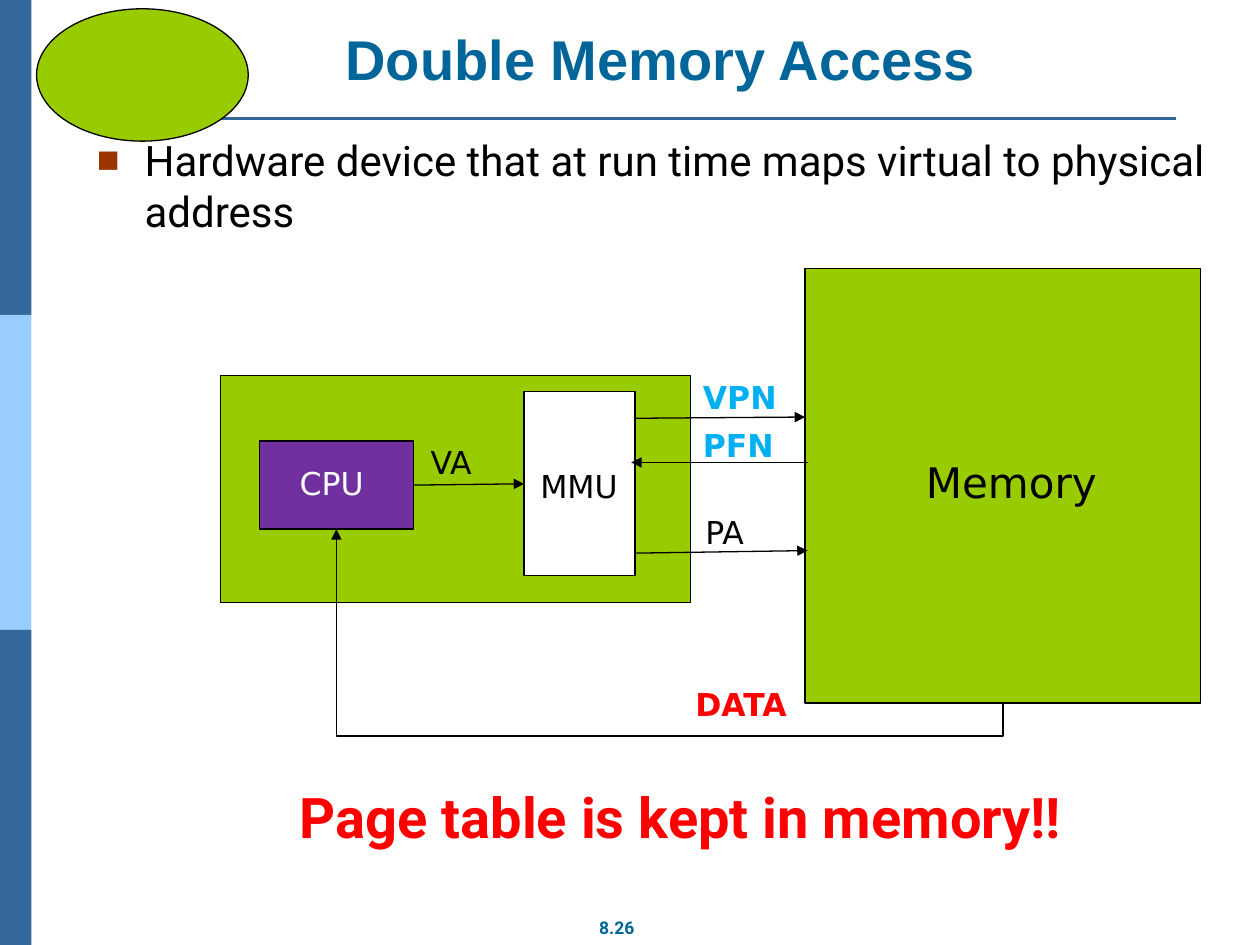
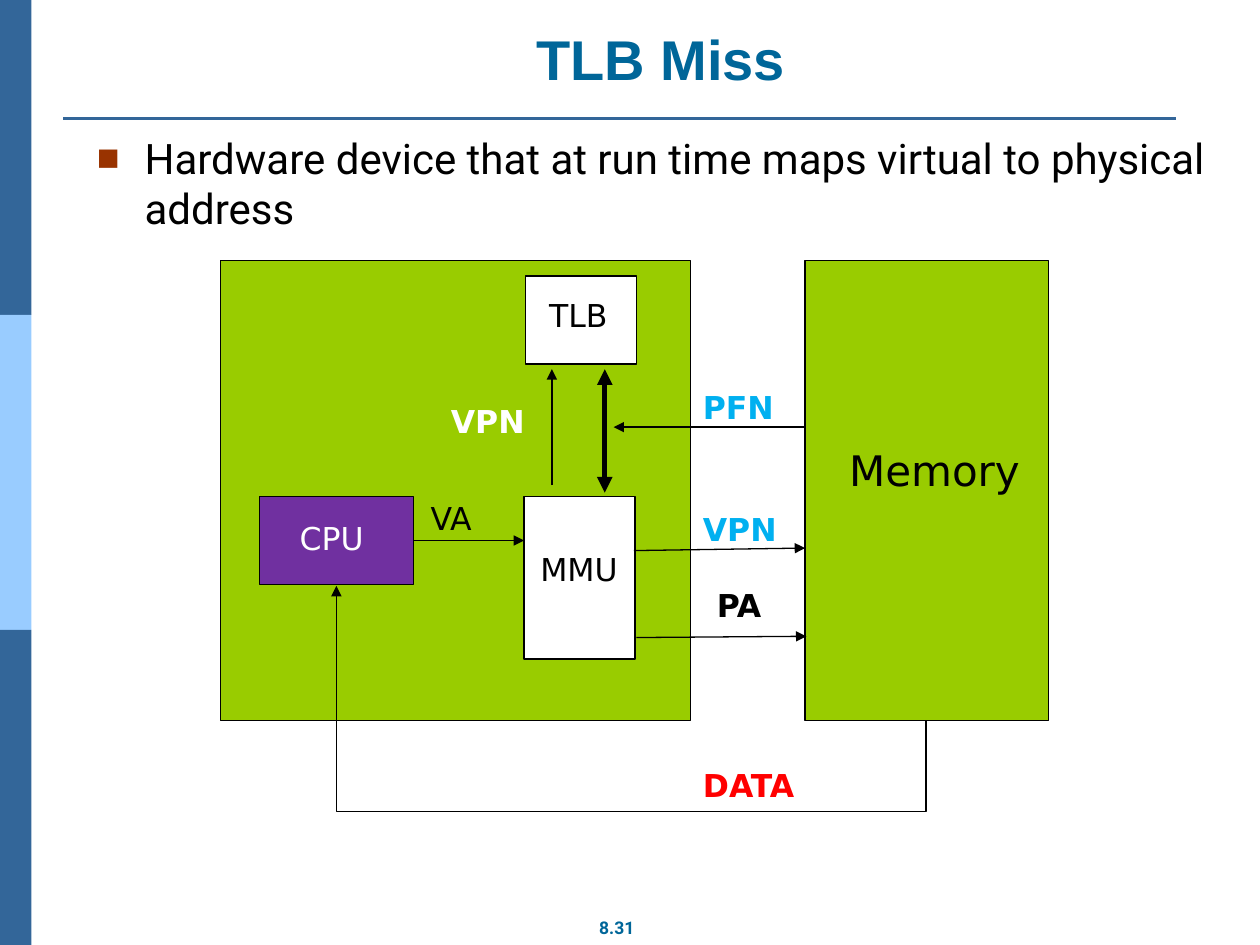
from pptx import Presentation
from pptx.dml.color import RGBColor
from pptx.enum.shapes import MSO_CONNECTOR as LINK, MSO_SHAPE as SHAPE
from pptx.enum.text import MSO_ANCHOR as ANCHOR, PP_ALIGN as ALIGN
from pptx.oxml import parse_xml
from pptx.oxml.ns import nsdecls, qn
from pptx.util import Inches, Pt

# Colours
BLACK = RGBColor(0x00, 0x00, 0x00)
WHITE = RGBColor(0xFF, 0xFF, 0xFF)
NAVY = RGBColor(0x33, 0x66, 0x99)
SKY = RGBColor(0x99, 0xCC, 0xFF)
TEAL = RGBColor(0x00, 0x66, 0x99)
GREEN = RGBColor(0x99, 0xCC, 0x00)
PURPLE = RGBColor(0x70, 0x30, 0xA0)
CYAN = RGBColor(0x00, 0xB0, 0xF0)
RED = RGBColor(0xFF, 0x00, 0x00)

# Fonts and shared wording
HEAD, BODY, LABEL = "Arial", "Roboto", "DejaVu Sans"
POINT = "Hardware device that at run time maps virtual to physical address"


def add_xml(parent, xml):
    """Append an element of the drawing namespace."""
    tag, rest = xml.split(" ", 1)
    parent.append(parse_xml(f"<a:{tag} {nsdecls('a')} {rest}/>"))


def add_box(slide, x, y, w, h, fill, kind=SHAPE.RECTANGLE, edge=BLACK):
    box = slide.shapes.add_shape(kind, Inches(x), Inches(y), Inches(w), Inches(h))
    box.shadow.inherit = False
    box.fill.solid()
    box.fill.fore_color.rgb = fill
    if edge is None:
        box.line.fill.background()
    else:
        box.line.color.rgb = edge
        box.line.width = Pt(0.75)
    return box


def add_text(slide, text, x, y, w, h, size, name, color=BLACK, bold=False,
             align=ALIGN.LEFT, wrap=True):
    box = slide.shapes.add_textbox(Inches(x), Inches(y), Inches(w), Inches(h))
    box.text_frame.word_wrap = wrap
    para = box.text_frame.paragraphs[0]
    para.text = text
    para.alignment = align
    font = para.font
    font.size, font.name, font.bold = Pt(size), name, bold
    font.color.rgb = color
    return box


def add_label(slide, text, x, y, color=BLACK, bold=False):
    add_text(slide, text, x, y, 1.22, 0.4, 18, LABEL, color, bold)


def add_line(slide, x1, y1, x2, y2, color=BLACK, width=0.75, ends=("tailEnd",),
             kind=LINK.STRAIGHT):
    line = slide.shapes.add_connector(kind, Inches(x1), Inches(y1), Inches(x2), Inches(y2))
    line.line.color.rgb = color
    line.line.width = Pt(width)
    for end in ends:
        add_xml(line.line._get_or_add_ln(), f'{end} type="triangle"')
    add_xml(line._element.spPr, "effectLst ")
    return line


def add_loop(slide, x1, y1, x2, y2, low):
    """Arrow that drops from (x1, y1) to low, then rises to (x2, y2)."""
    wide, tall = x1 - x2, y1 - y2
    mid_x, mid_y = (x1 + x2) / 2, (y1 + y2) / 2
    # The frame lies on its side and is turned by a quarter
    line = add_line(slide, mid_x + tall / 2, mid_y - wide / 2,
                    mid_x - tall / 2, mid_y + wide / 2, kind=LINK.ELBOW)
    props = line._element.spPr
    props.find(qn("a:xfrm")).set("rot", "5400000")
    bend = round((y1 - low) / tall * 100000)
    guides = props.find(qn("a:prstGeom")).find(qn("a:avLst"))
    add_xml(guides, f'gd name="adj1" fmla="val {bend}"')


def add_frame(deck, title, page, top):
    """Blank slide with side bands, rule, title, page number and bullet."""
    slide = deck.slides.add_slide(deck.slide_layouts[6])
    for i, color in enumerate((NAVY, SKY, NAVY)):
        add_box(slide, 0, 2.5 * i, 0.25, 2.5, color, edge=None)
    add_line(slide, 0.5, 0.94, 9.33, 0.94, NAVY, 1.5, ends=())
    add_text(slide, page, 4.65, 7.23, 0.49, 0.27, 10, BODY, TEAL, True,
             ALIGN.CENTER, wrap=False)
    head = add_text(slide, title, 0.96, 0.15, 8.57, 0.63, 32, HEAD, TEAL, True, ALIGN.CENTER)
    head.text_frame.vertical_anchor = ANCHOR.BOTTOM
    # Bulleted point
    body = add_text(slide, POINT, 0.67, top, 9.33, 0.9, 24, BODY)
    props = body.text_frame.paragraphs[0]._p.get_or_add_pPr()
    props.set("marL", str(Inches(0.38)))
    props.set("indent", str(-Inches(0.38)))
    mark = parse_xml(f'<a:buClr {nsdecls("a")}><a:srgbClr val="993300"/></a:buClr>')
    rest = [f"<a:{tag} {nsdecls('a')} {value}/>" for tag, value in
            (("buSzPct", 'val="90000"'), ("buFont", 'typeface="Arial"'), ("buChar", 'char="■"'))]
    for i, item in enumerate([mark] + [parse_xml(xml) for xml in rest]):
        props.insert(i, item)
    return slide


def add_parts(slide, chip, cpu_y, mmu, memory):
    """Chip with CPU and MMU, and the memory beside it."""
    add_box(slide, 1.75, chip[0], 3.73, chip[1], GREEN)
    cpu = add_box(slide, 2.06, cpu_y, 1.22, 0.7, PURPLE)
    unit = add_box(slide, 4.16, mmu[0], 0.88, mmu[1], WHITE)
    add_box(slide, 6.39, *memory, GREEN)
    add_label(slide, "CPU", 2.28, cpu_y + 0.13, WHITE)
    add_label(slide, "VA", 3.32, cpu_y - 0.03)
    link = add_line(slide, 3.28, cpu_y + 0.35, 4.16, cpu_y + 0.35)
    link.begin_connect(cpu, 3)
    return link, unit


def add_access(deck):
    slide = add_frame(deck, "Double Memory Access", "8.26", 1.02)
    link, unit = add_parts(slide, (2.98, 1.8), 3.5, (3.11, 1.46), (2.13, 3.14, 3.45))
    link.end_connect(unit, 1)
    add_label(slide, "MMU", 4.19, 3.66)
    add_text(slide, "Memory", 7.25, 3.57, 1.78, 0.51, 24, LABEL)
    # Traffic between MMU and memory
    add_line(slide, 5.03, 3.32, 6.39, 3.31)
    add_line(slide, 6.41, 3.67, 5.01, 3.67)
    add_line(slide, 5.05, 4.39, 6.41, 4.37)
    add_label(slide, "VPN", 5.48, 2.95, CYAN, True)
    add_label(slide, "PFN", 5.48, 3.33, CYAN, True)
    add_label(slide, "PA", 5.5, 4.02)
    # Data back to the CPU
    add_loop(slide, 7.96, 5.59, 2.67, 4.2, 5.84)
    add_label(slide, "DATA", 5.42, 5.39, RED, True)
    add_text(slide, "Page table is kept in memory!!", 2.28, 6.16, 7.38, 0.72,
             32, BODY, RED, True)
    add_box(slide, 0.29, 0.07, 1.68, 1.05, GREEN, SHAPE.OVAL)


def add_miss(deck):
    slide = add_frame(deck, "TLB Miss", "8.31", 1)
    add_parts(slide, (2.07, 3.65), 3.94, (3.94, 1.29), (2.07, 1.93, 3.65))
    add_label(slide, "MMU", 4.19, 4.32)
    add_text(slide, "Memory", 6.64, 3.48, 1.78, 0.51, 24, LABEL)
    # TLB lookup
    add_box(slide, 4.17, 2.19, 0.88, 0.7, WHITE)
    add_label(slide, "TLB", 4.26, 2.3)
    add_line(slide, 4.38, 3.85, 4.38, 2.93)
    add_line(slide, 4.8, 2.93, 4.8, 3.91, width=3, ends=("headEnd", "tailEnd"))
    add_label(slide, "VPN", 3.48, 3.14, WHITE, True)
    # Traffic between MMU and memory
    add_line(slide, 6.38, 3.39, 4.87, 3.39)
    add_line(slide, 5.03, 4.37, 6.39, 4.35)
    add_line(slide, 5.05, 5.06, 6.4, 5.05)
    add_label(slide, "PFN", 5.48, 3.03, CYAN, True)
    add_label(slide, "VPN", 5.48, 4, CYAN, True)
    add_label(slide, "PA", 5.59, 4.6, bold=True)
    # Data back to the CPU
    add_loop(slide, 7.35, 5.72, 2.67, 4.65, 6.44)
    add_label(slide, "DATA", 5.48, 6.03, RED, True)


def main():
    deck = Presentation()
    deck.slide_width, deck.slide_height = Inches(10), Inches(7.5)
    add_access(deck)
    add_miss(deck)
    deck.save("out.pptx")


if __name__ == "__main__":
    main()
